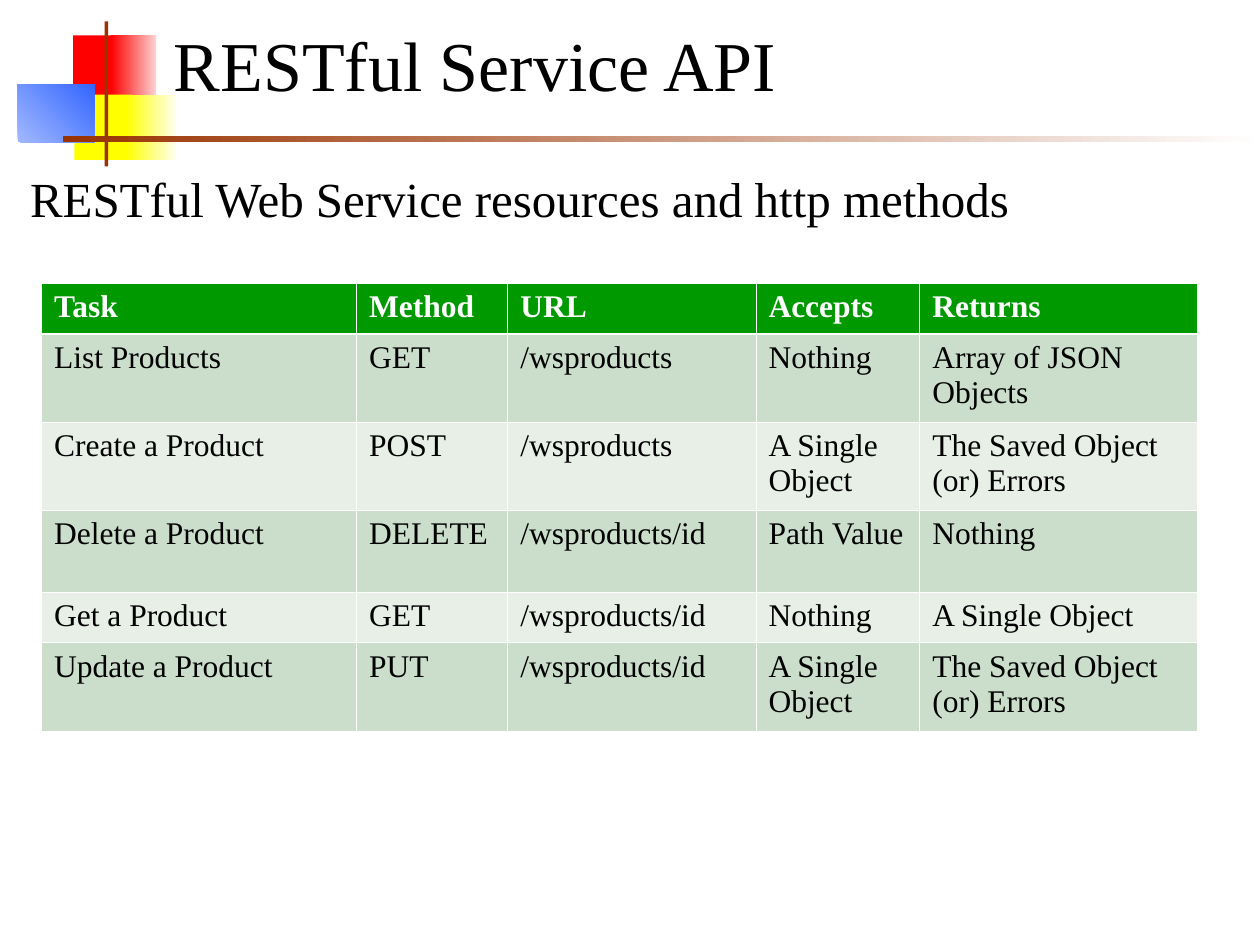
import dataclasses

import lxml.etree
import pptx
import pptx.dml.color
import pptx.enum.shapes
import pptx.enum.text
import pptx.oxml.ns
import pptx.util

Inches = pptx.util.Inches
Pt = pptx.util.Pt
Anchor = pptx.enum.text.MSO_ANCHOR


@dataclasses.dataclass(frozen=True)
class Theme:
    font: str = "Times New Roman"
    title_size: int = 40
    body_size: int = 28
    table_size: int = 18
    text: str = "000000"
    white: str = "FFFFFF"
    red: str = "FF0000"
    pale_red: str = "FFD1D1"
    yellow: str = "FFFF00"
    pale_yellow: str = "FFFFF0"
    blue: str = "3366FF"
    pale_blue: str = "A2B9FF"
    brown: str = "993300"
    header: str = "009900"
    bands: tuple = ("CBDECB", "E7EFE7")
    thin_border: float = 0.45
    header_border: float = 1.47


def rgb(value):
    return pptx.dml.color.RGBColor.from_string(value)


def set_values(target, values):
    for name, value in values.items():
        setattr(target, name, value)


class SlideBuilder:
    def __init__(self, theme, slide):
        self.theme = theme
        self.slide = slide

    def add_text(self, frame, text, size, color=None, bold=False):
        para = frame.paragraphs[0]
        para.alignment = pptx.enum.text.PP_ALIGN.LEFT
        span = para.add_run()
        span.text = text
        set_values(span.font, {"name": self.theme.font, "size": Pt(size), "bold": bold})
        span.font.color.rgb = rgb(color or self.theme.text)

    def block(self, left, top, width, height, colors, angle=0):
        """Draw a rectangle in one color, or in a gradient between two."""
        shape = self.slide.shapes.add_shape(
            pptx.enum.shapes.MSO_SHAPE.RECTANGLE,
            Inches(left), Inches(top), Inches(width), Inches(height))
        shape.shadow.inherit = False
        shape.line.fill.background()
        if len(colors) == 1:
            shape.fill.solid()
            shape.fill.fore_color.rgb = rgb(colors[0])
        else:
            shape.fill.gradient()
            shape.fill.gradient_angle = angle
            for stop, color in zip(shape.fill.gradient_stops, colors):
                stop.color.rgb = rgb(color)

    def title(self, text, left, top, width, height):
        title = self.slide.shapes.title
        set_values(title, {"left": Inches(left), "top": Inches(top),
                           "width": Inches(width), "height": Inches(height)})
        set_values(title.text_frame, {
            "word_wrap": True, "vertical_anchor": Anchor.BOTTOM,
            "auto_size": pptx.enum.text.MSO_AUTO_SIZE.NONE})
        self.add_text(title.text_frame, text, self.theme.title_size)

    def text_box(self, text, left, top, width, height):
        box = self.slide.shapes.add_textbox(
            Inches(left), Inches(top), Inches(width), Inches(height))
        set_values(box.text_frame, {"word_wrap": True, "margin_top": Inches(0.09)})
        self.add_text(box.text_frame, text, self.theme.body_size)

    def borders(self, cell, widths):
        properties = cell._tc.get_or_add_tcPr()
        qn = pptx.oxml.ns.qn
        for side, width in widths.items():
            line = lxml.etree.SubElement(
                properties, qn(f"a:ln{side}"), w=str(int(Pt(width))))
            fill = lxml.etree.SubElement(line, qn("a:solidFill"))
            lxml.etree.SubElement(fill, qn("a:srgbClr"), val=self.theme.white)

    def table(self, rows, left, top, widths, heights):
        theme = self.theme
        table = self.slide.shapes.add_table(
            len(rows), len(widths), Inches(left), Inches(top),
            Inches(sum(widths)), Inches(sum(heights))).table
        for column, width in zip(table.columns, widths):
            column.width = Inches(width)
        for row, height in zip(table.rows, heights):
            row.height = Inches(height)
        for row_index, row in enumerate(rows):
            is_header = row_index == 0
            fill = theme.header if is_header else theme.bands[(row_index - 1) % 2]
            sides = dict.fromkeys("LRTB", theme.thin_border)
            if row_index < 2:
                sides["B" if is_header else "T"] = theme.header_border
            for column_index, text in enumerate(row):
                cell = table.cell(row_index, column_index)
                self.borders(cell, sides)
                cell.fill.solid()
                cell.fill.fore_color.rgb = rgb(fill)
                self.add_text(cell.text_frame, text, theme.table_size,
                              theme.white if is_header else theme.text, is_header)


def main():
    deck = pptx.Presentation()
    set_values(deck, {"slide_width": Inches(10), "slide_height": Inches(7.5)})
    theme = Theme()
    page = SlideBuilder(theme, deck.slides.add_slide(deck.slide_layouts[5]))

    # Colored blocks and rules around the title
    page.block(0.58, 0.28, 0.35, 0.52, [theme.red])
    page.block(0.88, 0.28, 0.36, 0.52, [theme.red, theme.pale_red])
    page.block(0.59, 0.75, 0.46, 0.52, [theme.yellow])
    page.block(1, 0.75, 0.4, 0.52, [theme.yellow, theme.pale_yellow])
    page.block(0.14, 0.67, 0.61, 0.46, [theme.pale_blue, theme.blue], angle=45)
    page.block(0.83, 0.17, 0.03, 1.15, [theme.brown])
    page.block(0.5, 1.08, 9.5, 0.05, [theme.brown, theme.white])

    # Title and introduction
    page.title("RESTful Service API", 1.28, 0.42, 8.7, 0.47)
    page.text_box("RESTful Web Service resources and http methods",
                  0.14, 1.25, 9.86, 0.75)

    # Resources and their methods
    rows = [
        ("Task", "Method", "URL", "Accepts", "Returns"),
        ("List Products", "GET", "/wsproducts", "Nothing", "Array of JSON Objects"),
        ("Create a Product", "POST", "/wsproducts", "A Single Object",
         "The Saved Object (or) Errors"),
        ("Delete a Product", "DELETE", "/wsproducts/id", "Path Value", "Nothing"),
        ("Get a Product", "GET", "/wsproducts/id", "Nothing", "A Single Object"),
        ("Update a Product", "PUT", "/wsproducts/id", "A Single Object",
         "The Saved Object (or) Errors"),
    ]
    one_line, two_lines = 0.38, 0.65
    page.table(rows, 0.33, 2.25, [2.5, 1.2, 1.97, 1.3, 2.2],
               [one_line] + [two_lines] * 3 + [one_line, two_lines])

    deck.save("out.pptx")


if __name__ == "__main__":
    main()
